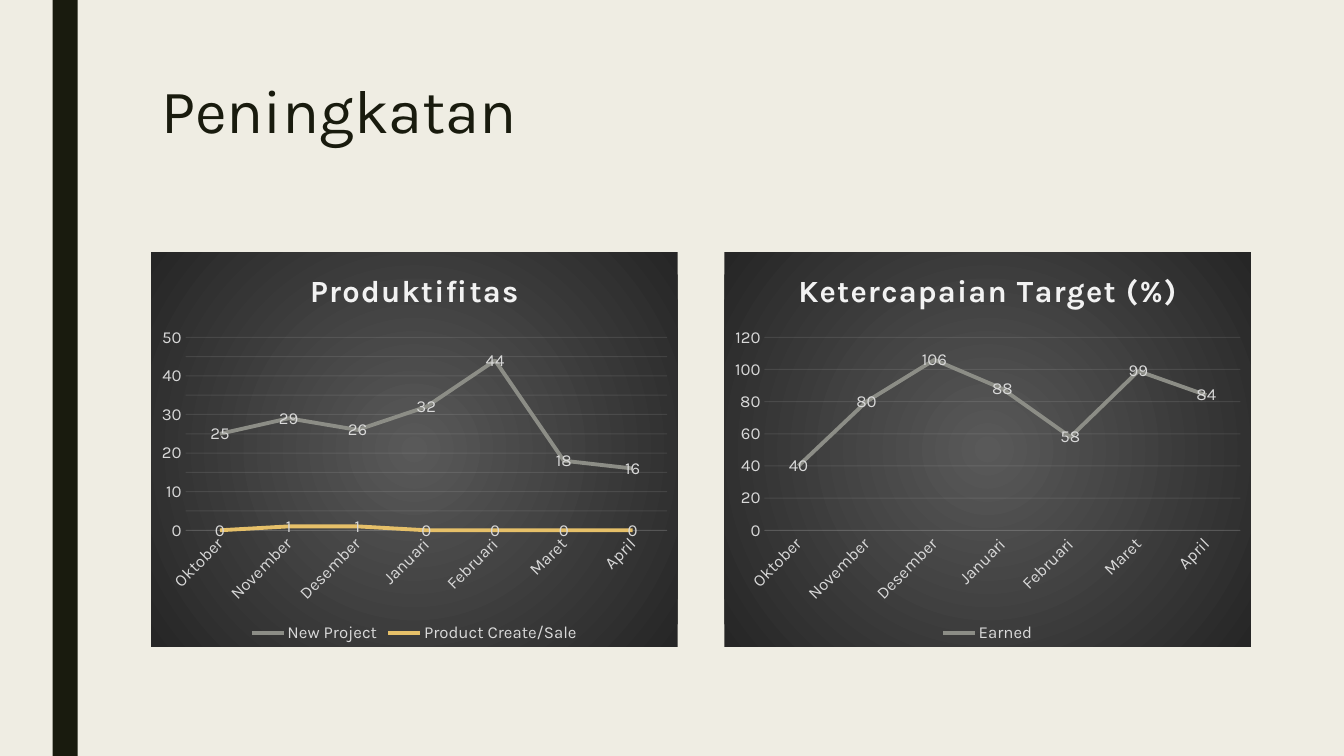
from dataclasses import dataclass

from lxml.etree import SubElement
from pptx import Presentation
from pptx.chart.axis import _BaseAxis
from pptx.chart.chart import Chart
from pptx.chart.data import CategoryChartData
from pptx.dml.color import RGBColor
from pptx.enum.chart import XL_CHART_TYPE, XL_LABEL_POSITION, XL_LEGEND_POSITION, XL_TICK_MARK
from pptx.enum.shapes import MSO_SHAPE
from pptx.enum.text import MSO_ANCHOR
from pptx.oxml import parse_xml
from pptx.oxml.ns import nsdecls, qn
from pptx.slide import Slide
from pptx.text.text import Font
from pptx.util import Pt


@dataclass(frozen=True)
class Theme:
    font: str = "Karla"
    background: str = "EFEDE3"
    ink: str = "191B0E"
    chart_title: str = "F2F2F2"
    chart_label: str = "D9D9D9"
    grid: str = "F2F2F2"
    glow_center: str = "595959"
    glow_edge: str = "262626"
    series: tuple[str, ...] = ("8C8D86", "E6C069")
    heading_size: float = 44
    chart_title_size: float = 22
    label_size: float = 12


@dataclass(frozen=True)
class LinePanel:
    title: str
    left: float
    series: dict[str, tuple[int, ...]]


THEME = Theme()
MONTHS = ("Oktober", "November", "Desember", "Januari", "Februari", "Maret", "April")
PANEL_TOP, PANEL_WIDTH, PANEL_HEIGHT = 180, 376, 282
PANELS = (
    LinePanel("Produktifitas", 108, {
        "New Project": (25, 29, 26, 32, 44, 18, 16),
        "Product Create/Sale": (0, 1, 1, 0, 0, 0, 0),
    }),
    LinePanel("Ketercapaian Target (%)", 517.5, {"Earned": (40, 80, 106, 88, 58, 99, 84)}),
)


def color(value: str) -> RGBColor:
    return RGBColor.from_string(value)


def style_font(font: Font, size: float, value: str, bold: bool = False) -> None:
    font.name = THEME.font
    font.size = Pt(size)
    font.bold = bold
    font.color.rgb = color(value)


def add_side_bar(page: Slide, height: int) -> None:
    bar = page.shapes.add_shape(MSO_SHAPE.RECTANGLE, Pt(37.5), 0, Pt(18), height)
    bar.shadow.inherit = False
    bar.fill.solid()
    bar.fill.fore_color.rgb = color(THEME.ink)
    bar.line.fill.background()


def add_heading(page: Slide, text: str) -> None:
    box = page.shapes.add_textbox(Pt(108), Pt(54), Pt(756), Pt(116.64))
    frame = box.text_frame
    frame.word_wrap = True
    frame.vertical_anchor = MSO_ANCHOR.TOP
    para = frame.paragraphs[0]
    para.text = text
    para.line_spacing = 0.89
    style_font(para.font, THEME.heading_size, THEME.ink)


def fill_with_glow(chart: Chart) -> None:
    properties = parse_xml(
        f'<c:spPr {nsdecls("c", "a")}><a:gradFill><a:gsLst>'
        f'<a:gs pos="0"><a:srgbClr val="{THEME.glow_center}"/></a:gs>'
        f'<a:gs pos="100000"><a:srgbClr val="{THEME.glow_edge}"/></a:gs></a:gsLst>'
        '<a:path path="circle"><a:fillToRect l="50000" t="50000" r="50000" b="50000"/></a:path>'
        '</a:gradFill><a:ln><a:noFill/></a:ln></c:spPr>'
    )
    chart.element.find(qn("c:chart")).addnext(properties)


def style_axis(axis: _BaseAxis) -> None:
    axis.major_tick_mark = XL_TICK_MARK.NONE
    axis.minor_tick_mark = XL_TICK_MARK.NONE
    style_font(axis.tick_labels.font, THEME.label_size, THEME.chart_label)


def draw_faint(axis: _BaseAxis, part) -> None:
    part.format.line.color.rgb = color(THEME.grid)
    part.format.line.width = Pt(0.75)
    for line in axis._element.iter(qn("a:ln")):
        for tone in line.iter(qn("a:srgbClr")):
            SubElement(tone, qn("a:alpha"), val="10000")


def style_axes(chart: Chart) -> None:
    months, values = chart.category_axis, chart.value_axis
    style_axis(months)
    style_axis(values)
    months.has_major_gridlines = False
    draw_faint(months, months)
    months._element.find(qn("c:txPr")).find(qn("a:bodyPr")).set("rot", "-2700000")
    values.has_major_gridlines = True
    values.format.line.fill.background()
    draw_faint(values, values.major_gridlines)


def style_series(chart: Chart) -> None:
    for series, tone in zip(chart.plots[0].series, THEME.series):
        series.smooth = False
        series.format.line.color.rgb = color(tone)
        series.format.line.width = Pt(2.75)
        labels = series.data_labels
        labels.show_value = True
        labels.position = XL_LABEL_POSITION.CENTER
        style_font(labels.font, THEME.label_size, THEME.chart_label)


def add_line_panel(page: Slide, panel: LinePanel) -> None:
    data = CategoryChartData()
    data.categories = MONTHS
    for name, values in panel.series.items():
        data.add_series(name, values)
    chart = page.shapes.add_chart(
        XL_CHART_TYPE.LINE, Pt(panel.left), Pt(PANEL_TOP), Pt(PANEL_WIDTH), Pt(PANEL_HEIGHT), data
    ).chart
    style_font(chart.font, THEME.label_size, THEME.chart_label)
    fill_with_glow(chart)
    chart.plots[0].vary_by_categories = False

    chart.has_title = True
    para = chart.chart_title.text_frame.paragraphs[0]
    span = para.add_run()
    span.text = panel.title
    style_font(para.font, THEME.chart_title_size, THEME.chart_title, bold=True)
    style_font(span.font, THEME.chart_title_size, THEME.chart_title, bold=True)
    span.font._element.set("spc", "100")
    chart.chart_title.include_in_layout = False

    chart.has_legend = True
    chart.legend.position = XL_LEGEND_POSITION.BOTTOM
    chart.legend.include_in_layout = False
    style_font(chart.legend.font, THEME.label_size, THEME.chart_label)
    style_axes(chart)
    style_series(chart)


def main() -> None:
    deck = Presentation()
    deck.slide_width, deck.slide_height = Pt(960), Pt(540)
    page = deck.slides.add_slide(deck.slide_layouts[6])
    page.background.fill.solid()
    page.background.fill.fore_color.rgb = color(THEME.background)
    add_side_bar(page, deck.slide_height)
    add_heading(page, "Peningkatan")
    for panel in PANELS:
        add_line_panel(page, panel)
    deck.save("out.pptx")


main()
